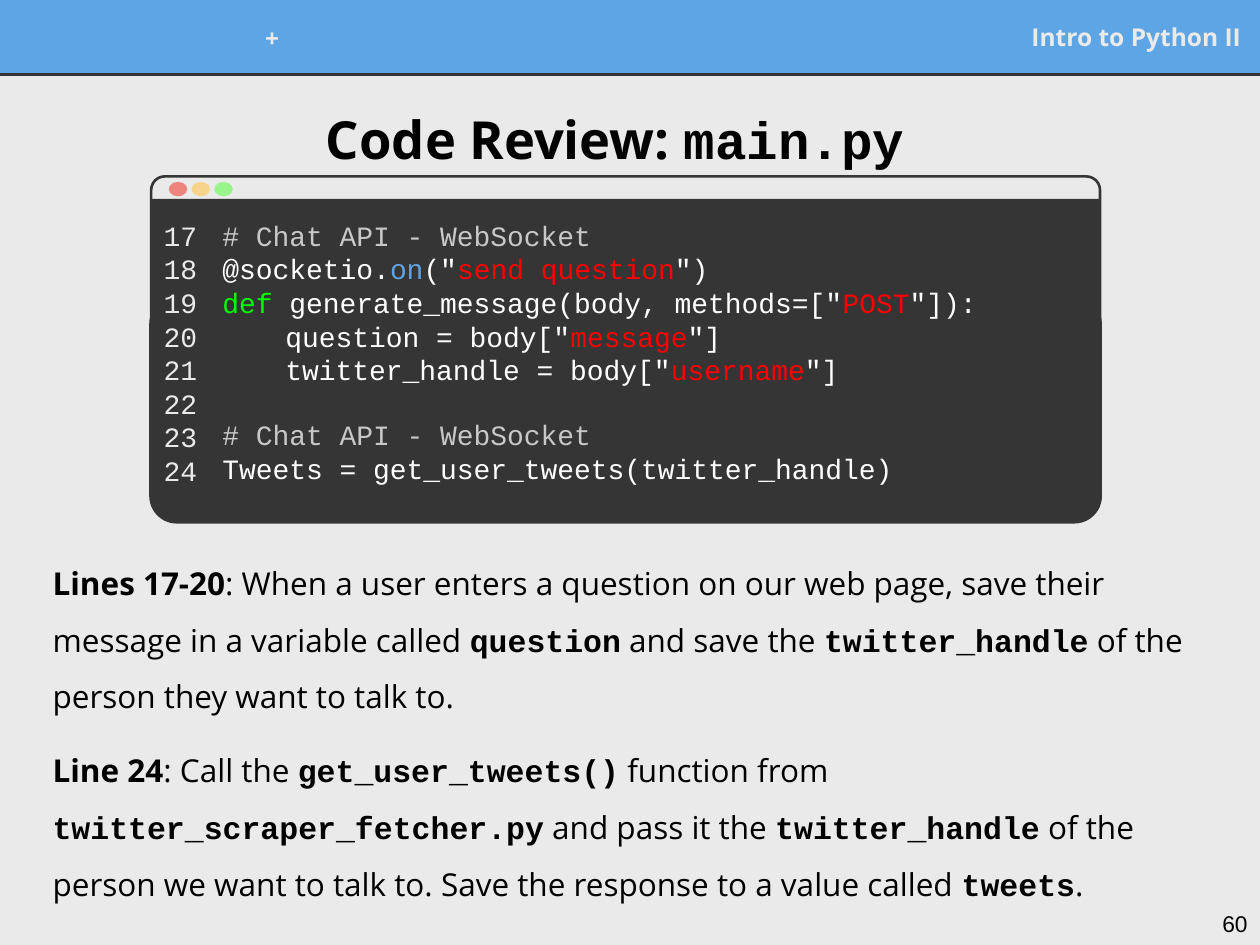
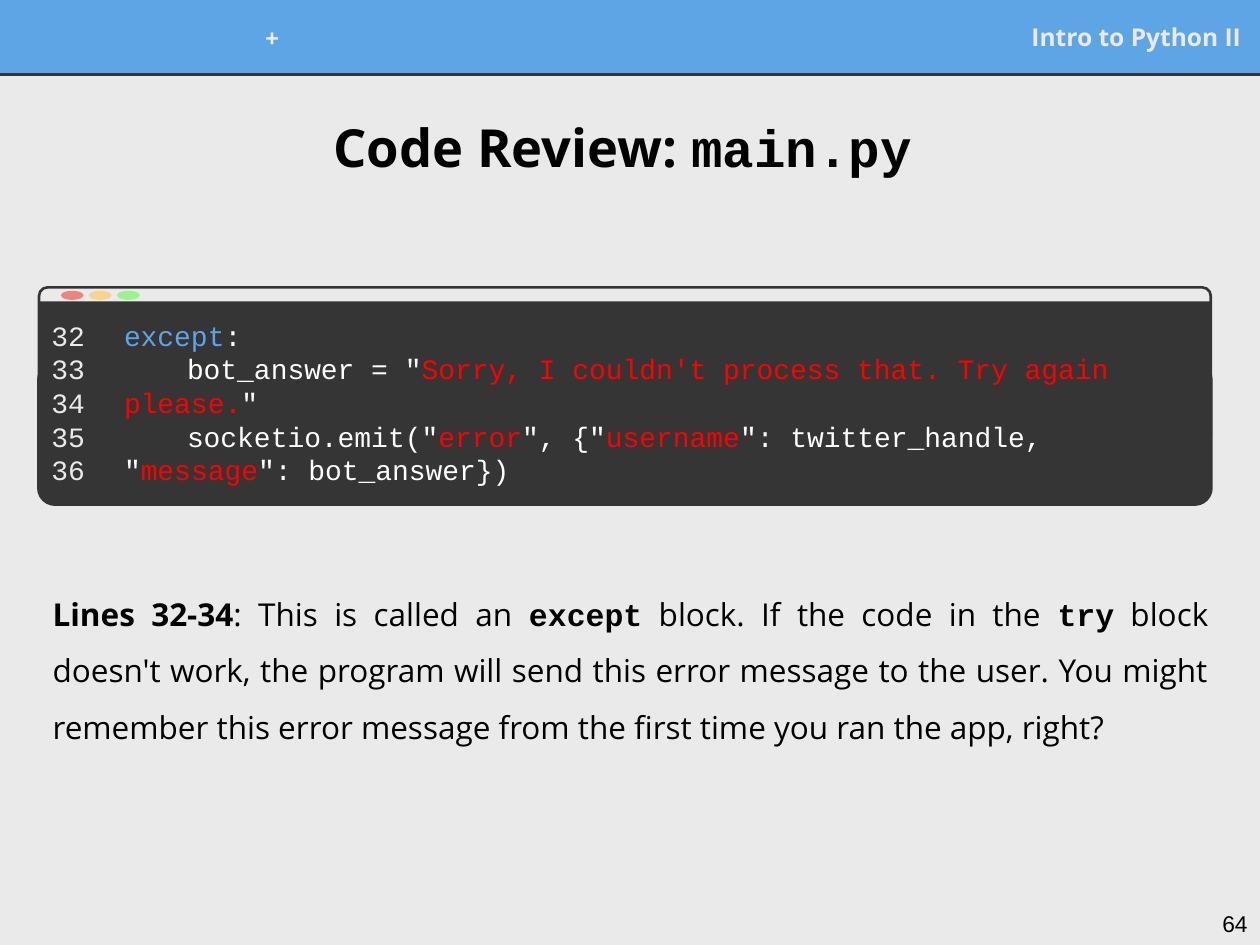
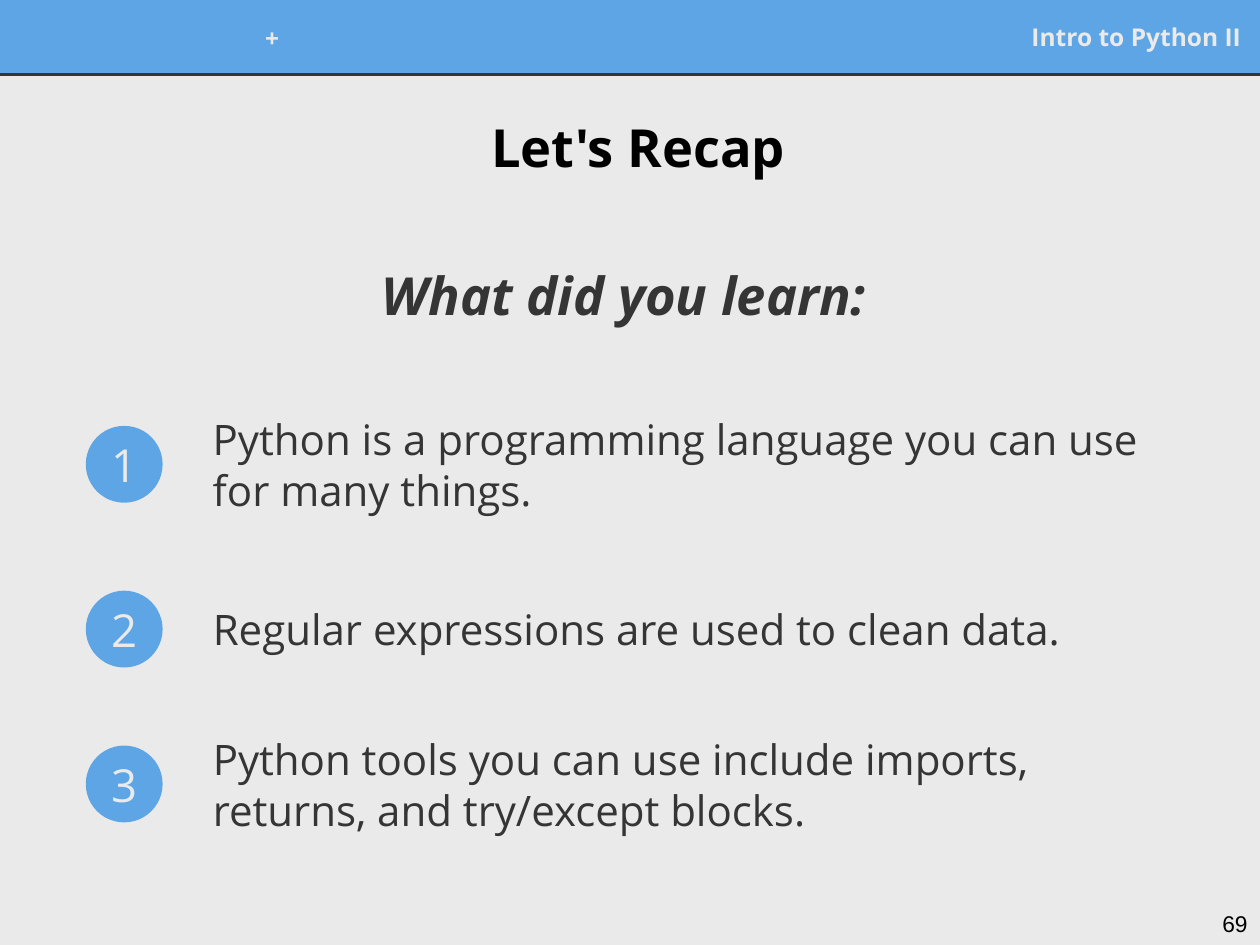
from lxml.etree import SubElement
from pptx import Presentation
from pptx.dml.color import RGBColor
from pptx.enum.shapes import MSO_CONNECTOR as CONN, MSO_SHAPE as SHAPE
from pptx.enum.text import MSO_ANCHOR as ANCHOR, PP_ALIGN as ALIGN
from pptx.oxml.ns import qn
from pptx.util import Pt

COLORS = {
    "paper": "EAEAEA", "blue": "5EA5E5", "dark": "353535", "black": "000000",
    "white": "FFFFFF", "gray": "C8C8C8", "red": "FF0000", "green": "00FF00",
    "dot_red": "ED857F", "dot_yellow": "F7D48B", "dot_green": "99F48C",
}
SANS, MONO, ARIAL = "Open Sans", "Courier New", "Arial"
STYLES = {
    "header": (SANS, 14, "paper", True, False),
    "page": (ARIAL, 13, "black", False, False),
    "title": (SANS, 30, "black", True, False),
    "title_code": (MONO, 30, "black", True, False),
    "subtitle": (SANS, 30, "dark", True, True),
    "body": (SANS, 18, "black", False, False),
    "strong": (SANS, 18, "black", True, False),
    "name": (MONO, 18, "black", True, False),
    "digit": (SANS, 26, "paper", False, False),
    "point": (SANS, 24, "dark", False, False),
    "number": (MONO, 16, "paper", False, False),
    "code": (MONO, 16, "white", False, False),
    "comment": (MONO, 16, "gray", False, False),
    "string": (MONO, 16, "red", False, False),
    "keyword": (MONO, 16, "green", False, False),
    "builtin": (MONO, 16, "blue", False, False),
}
CODE_LINE = 18.1
CODE_TITLE = [("Code Review: ", "title"), ("main.py ", "title_code")]

REVIEWS = [
    {
        "page": 60,
        "title_at": (13, 46.8, 695, 64.8),
        "window": (86.4, 100.8, 542.2, 197.3),
        "lines": range(17, 25),
        "gutter_height": 0.86,
        "code": [
            ([("# Chat API - WebSocket", "comment")], {}),
            ([("@socketio.", "code"), ("on", "builtin"), ('("', "code"),
              ("send question", "string"), ('")', "code")], {}),
            ([("def", "keyword"), (' generate_message(body, methods=["', "code"),
              ("POST", "string"), ('"]):', "code")], {}),
            ([('question = body["', "code"), ("message", "string"),
              ('"]', "code")], {"indent": 36}),
            ([('twitter_handle = body["', "code"), ("username", "string"),
              ('"]', "code")], {"indent": 36}),
            ([("# Chat API - WebSocket", "comment")], {"before": CODE_LINE}),
            ([("Tweets = get_user_tweets(twitter_handle)", "code")], {}),
        ],
        "notes_top": 311,
        "notes": [
            ([("Lines 17-20", "strong"),
              (": When a user enters a question on our web page, save their "
               "message in a variable called ", "body"),
              ("question", "name"), (" and save the ", "body"),
              ("twitter_handle", "name"),
              (" of the person they want to talk to.", "body")],
             {"spacing": 1.5}),
            ([("Line 24", "strong"), (": Call the ", "body"),
              ("get_user_tweets()", "name"), (" function from ", "body"),
              ("twitter_scraper_fetcher.py", "name"),
              (" and pass it the ", "body"), ("twitter_handle", "name"),
              (" of the person we want to talk to. Save the response to a "
               "value called ", "body"),
              ("tweets", "name"), (".", "body")],
             {"spacing": 1.5, "before": 10, "after": 10}),
        ],
    },
    {
        "page": 64,
        "title_at": (17.3, 51.1, 695, 64.8),
        "window": (22.3, 164.2, 669.6, 123.8),
        "lines": range(32, 37),
        "gutter_height": 0.64,
        "code": [
            ([("except", "builtin"), (":", "code")], {}),
            ([('bot_answer = "', "code"),
              ("Sorry, I couldn't process that. Try again please.", "string"),
              ('"', "code")], {"indent": 36}),
            ([('socketio.emit("', "code"), ("error", "string"),
              ('", {"', "code"), ("username", "string"),
              ('": twitter_handle, "', "code"), ("message", "string"),
              ('": bot_answer})', "code")], {"indent": 36}),
        ],
        "notes_top": 275,
        "notes": [
            ([("Lines 32-34", "strong"), (": This is called an ", "body"),
              ("except", "name"), (" block. If the code in the ", "body"),
              ("try", "name"),
              (" block doesn't work, the program will send this error message "
               "to the user. You might remember this error message from the "
               "first time you ran the app, right? ", "body")],
             {"spacing": 1.5, "after": 10, "align": ALIGN.JUSTIFY}),
        ],
    },
]

RECAP = {
    "page": 69,
    "title": "Let's Recap",
    "title_at": (17.3, 51.1, 695, 64.8),
    "subtitle": "What did you learn: ",
    "points": [
        ("Python is a programming language you can use for many things.",
         265.3, 556.6, 87.1),
        ("Regular expressions are used to clean data.", 359.5, 533.5, 59),
        ("Python tools you can use include imports, returns, and try/except "
         "blocks.", 448, 527, 59),
    ],
}


def rgb(name):
    return RGBColor.from_string(COLORS[name])


def write(sp, paragraphs, anchor=ANCHOR.MIDDLE):
    tf = sp.text_frame
    tf.word_wrap = True
    tf.vertical_anchor = anchor
    tf.margin_left = tf.margin_right = tf.margin_top = tf.margin_bottom = Pt(7.2)
    for i, (runs, fmt) in enumerate(paragraphs):
        p = tf.add_paragraph() if i else tf.paragraphs[0]
        p.alignment = fmt.get("align", ALIGN.LEFT)
        p.line_spacing = fmt.get("spacing", 1.0)
        p.space_before = Pt(fmt.get("before", 0))
        p.space_after = Pt(fmt.get("after", 0))
        if "indent" in fmt:
            pPr = p._p.get_or_add_pPr()
            pPr.set("marL", "0")
            pPr.set("indent", str(Pt(fmt["indent"])))
        for text, style in runs:
            r = p.add_run()
            r.text = text
            name, size, color, r.font.bold, r.font.italic = STYLES[style]
            r.font.name, r.font.size = name, Pt(size)
            r.font.color.rgb = rgb(color)


def add_text(shapes, at, paragraphs, anchor=ANCHOR.MIDDLE):
    write(shapes.add_textbox(*map(Pt, at)), paragraphs, anchor)


def add_label(shapes, at, text, style, align, anchor=ANCHOR.MIDDLE):
    add_text(shapes, at, [([(text, style)], {"align": align})], anchor)


def add_shape(shapes, kind, at, fill=None, line=None, width=0, radius=None):
    sp = shapes.add_shape(kind, *map(Pt, at))
    sp.shadow.inherit = False
    if radius is not None:
        sp.adjustments[0] = radius
    if fill:
        sp.fill.solid()
        sp.fill.fore_color.rgb = rgb(fill)
    else:
        sp.fill.background()
    if line:
        sp.line.color.rgb = rgb(line)
        sp.line.width = Pt(width)
    else:
        sp.line.fill.background()
    return sp


def add_slide(prs, page):
    s = prs.slides.add_slide(prs.slide_layouts[6])
    s.background.fill.solid()
    s.background.fill.fore_color.rgb = rgb("paper")
    add_shape(s.shapes, SHAPE.RECTANGLE, (0, 0, 720, 42.5), "blue", "blue", 0.75)
    rule = s.shapes.add_connector(CONN.STRAIGHT, *map(Pt, (0, 42.5, 720, 42.5)))
    rule.line.color.rgb = rgb("dark")
    rule.line.width = Pt(1.5)
    SubElement(rule._element.spPr, qn("a:effectLst"))
    add_label(s.shapes, (449.3, 7.2, 267, 27.4), "Intro to Python II", "header",
              ALIGN.RIGHT)
    add_label(s.shapes, (134, 7.9, 43.2, 27.4), "+", "header", ALIGN.CENTER)
    add_label(s.shapes, (676.8, 512.6, 43.2, 27.4), str(page), "page",
              ALIGN.RIGHT, ANCHOR.TOP)
    return s.shapes


def add_code_window(shapes, review):
    x, y, w, h = review["window"]
    group = shapes.add_group_shape().shapes

    def part(left, top, width, height):
        return x + left * w, y + top * h, width * w, height * h

    add_shape(group, SHAPE.ROUNDED_RECTANGLE, part(0, 0, 1, 0.72),
              line="dark", width=1.5, radius=0.055)
    add_shape(group, SHAPE.RECTANGLE, part(0, 0.065, 1, 0.86), "dark")
    add_shape(group, SHAPE.ROUNDED_RECTANGLE, part(0, 0.354, 1, 0.646),
              "dark", "dark", 2.25, 0.115)
    for i, color in enumerate(("dot_red", "dot_yellow", "dot_green")):
        add_shape(group, SHAPE.OVAL,
                  part(0.0185 + 0.024 * i, 0.016, 0.0195, 0.042), color)
    add_text(group, part(0.062, 0.085, 0.947, 0.843), review["code"], ANCHOR.TOP)
    numbers = [([(str(n), "number")], {}) for n in review["lines"]]
    add_text(group, part(0, 0.085, 0.0665, review["gutter_height"]), numbers,
             ANCHOR.TOP)


def add_review(prs, review):
    shapes = add_slide(prs, review["page"])
    add_text(shapes, (23, review["notes_top"], 674.6, 205.2), review["notes"])
    add_text(shapes, review["title_at"], [(CODE_TITLE, {"align": ALIGN.CENTER})])
    add_code_window(shapes, review)


def add_recap(prs):
    shapes = add_slide(prs, RECAP["page"])
    add_label(shapes, RECAP["title_at"], RECAP["title"], "title", ALIGN.CENTER)
    add_label(shapes, (13, 128.2, 695, 80.6), RECAP["subtitle"], "subtitle",
              ALIGN.CENTER)
    size = 43.9
    for i, (text, middle, width, height) in enumerate(RECAP["points"], 1):
        group = shapes.add_group_shape().shapes
        badge = add_shape(group, SHAPE.OVAL, (49, middle - size / 2, size, size),
                          "blue")
        write(badge, [([(str(i), "digit")], {"align": ALIGN.CENTER})])
        add_label(group, (114.5, middle - height / 2, width, height), text,
                  "point", ALIGN.LEFT)


def main():
    prs = Presentation()
    prs.slide_width, prs.slide_height = Pt(720), Pt(540)
    for review in REVIEWS:
        add_review(prs, review)
    add_recap(prs)
    prs.save("out.pptx")


if __name__ == "__main__":
    main()
